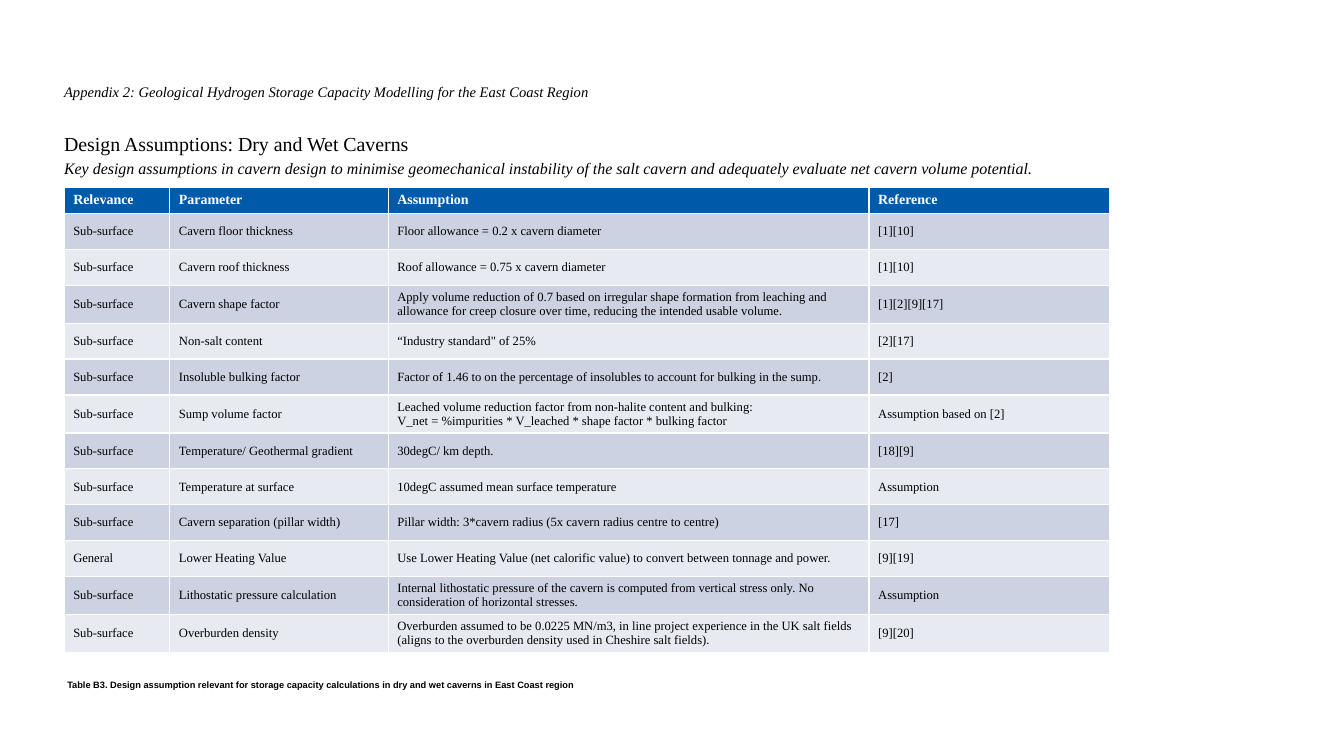
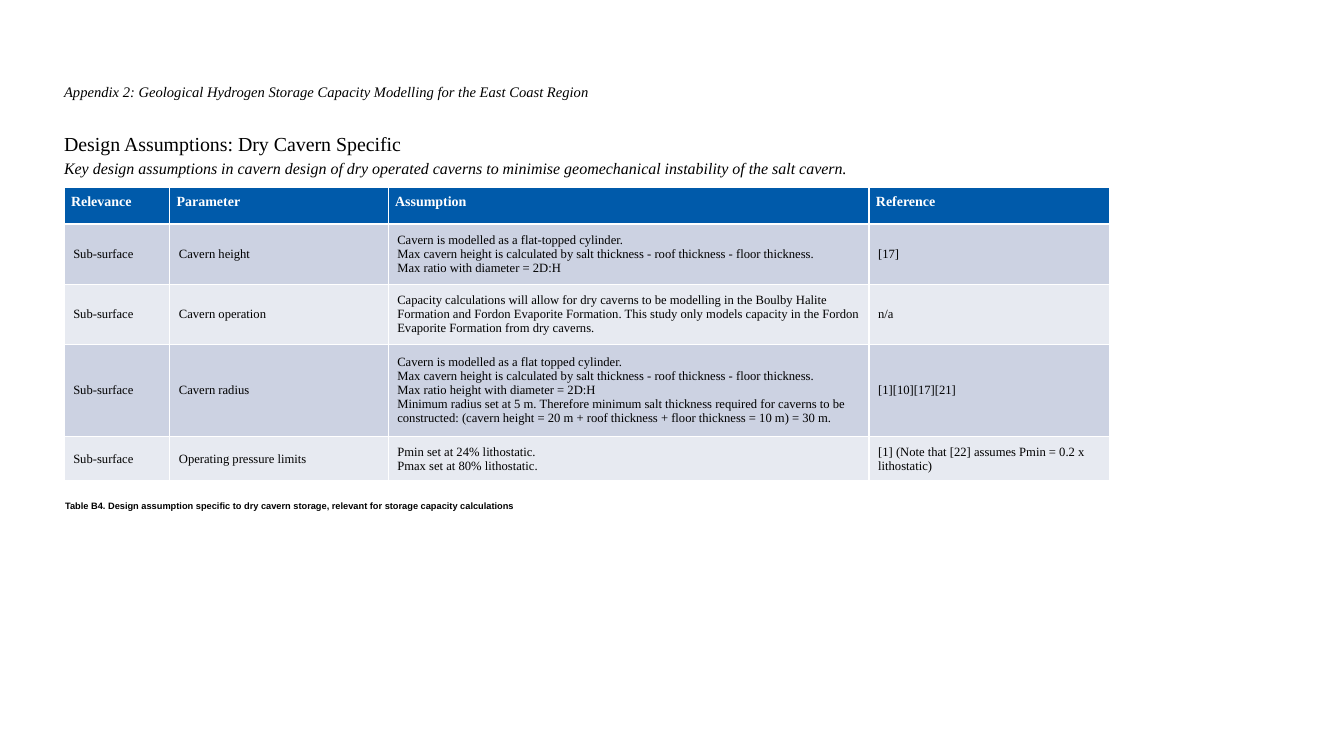
from pptx import Presentation
from pptx.dml.color import RGBColor
from pptx.enum.text import MSO_ANCHOR as Anchor, MSO_AUTO_SIZE as AutoSize, PP_ALIGN as Align
from pptx.util import Pt

# Shared style
SERIF, SANS = "Times New Roman", "Arial"
BLACK, WHITE, HEADER_BLUE = "000000", "FFFFFF", "005AAA"
BANDS = ("CCD2E2", "E7EAF1")
LEFT = 45.75
TABLE_TOP = 133.5
COLUMN_WIDTHS = (75.5, 156, 343.5, 172)
CELL_INSETS = (6.6, 3.4)
APPENDIX = "Appendix 2: Geological Hydrogen Storage Capacity Modelling for the East Coast Region"
HEADINGS = ("Relevance", "Parameter", "Assumption", "Reference")

# Table content; \v is a line break inside a paragraph
SHARED_ROWS = [
    ("Sub-surface", "Cavern floor thickness", "Floor allowance = 0.2 x cavern diameter", "[1][10]"),
    ("Sub-surface", "Cavern roof thickness", "Roof allowance = 0.75 x cavern diameter", "[1][10]"),
    ("Sub-surface", "Cavern shape factor",
     "Apply volume reduction of 0.7 based on irregular shape formation from leaching and "
     "allowance for creep closure over time, reducing the intended usable volume.",
     "[1][2][9][17]"),
    ("Sub-surface", "Non-salt content", "“Industry standard\" of 25%", "[2][17]"),
    ("Sub-surface", "Insoluble bulking factor",
     "Factor of 1.46 to on the percentage of insolubles to account for bulking in the sump.", "[2]"),
    ("Sub-surface", "Sump volume factor",
     "Leached volume reduction factor from non-halite content and bulking:\v"
     "V_net = %impurities * V_leached * shape factor * bulking factor",
     "Assumption based on [2]"),
    ("Sub-surface", "Temperature/ Geothermal gradient", "30degC/ km depth.", "[18][9]"),
    ("Sub-surface", "Temperature at surface", "10degC assumed mean surface temperature", "Assumption"),
    ("Sub-surface", "Cavern separation (pillar width)",
     "Pillar width: 3*cavern radius (5x cavern radius centre to centre)", "[17]"),
    ("General", "Lower Heating Value",
     "Use Lower Heating Value (net calorific value) to convert between tonnage and power.", "[9][19]"),
    ("Sub-surface", "Lithostatic pressure calculation",
     "Internal lithostatic pressure of the cavern is computed from vertical stress only. "
     "No consideration of horizontal stresses.",
     "Assumption"),
    ("Sub-surface", "Overburden density",
     "Overburden assumed to be 0.0225 MN/m3, in line project experience in the UK salt fields "
     "(aligns to the overburden density used in Cheshire salt fields).",
     "[9][20]"),
]
ONE_LINE, TWO_LINES = 25.6, 27.2
SHARED_HEIGHTS = [19] + [ONE_LINE] * 2 + [TWO_LINES] + [ONE_LINE] * 2 + [TWO_LINES] \
    + [ONE_LINE] * 4 + [TWO_LINES] * 2

HEIGHT_RULE = "Max cavern height is calculated by salt thickness - roof thickness - floor thickness.\v"
DRY_ROWS = [
    ("Sub-surface", "Cavern height",
     "Cavern is modelled as a flat-topped cylinder.\v" + HEIGHT_RULE + "Max ratio with diameter = 2D:H",
     "[17]"),
    ("Sub-surface", "Cavern operation",
     "Capacity calculations will allow for dry caverns to be modelling in the Boulby Halite "
     "Formation and Fordon Evaporite Formation. This study only models capacity in the Fordon "
     "Evaporite Formation from dry caverns.",
     "n/a"),
    ("Sub-surface", "Cavern radius",
     "Cavern is modelled as a flat topped cylinder.\v" + HEIGHT_RULE
     + "Max ratio height with diameter = 2D:H\v"
     "Minimum radius set at 5 m. Therefore minimum salt thickness required for caverns to be "
     "constructed: (cavern height = 20 m + roof thickness + floor thickness = 10 m) = 30 m.",
     "[1][10][17][21]"),
    ("Sub-surface", "Operating pressure limits",
     "Pmin set at 24% lithostatic.\vPmax set at 80% lithostatic.",
     "[1] (Note that [22] assumes Pmin = 0.2 x lithostatic)"),
]
DRY_HEIGHTS = [26.5, 43, 43, 66, 31.5]


def rgb(hex_colour):
    return RGBColor.from_string(hex_colour)


def set_insets(holder, across, down):
    holder.margin_left = holder.margin_right = Pt(across)
    holder.margin_top = holder.margin_bottom = Pt(down)


def write(frame, text, size, font=SERIF, colour=BLACK, bold=False, italic=False):
    frame.text = text
    paragraph = frame.paragraphs[0]
    paragraph.alignment = Align.LEFT
    face = paragraph.font
    face.name, face.size, face.bold, face.italic = font, Pt(size), bold, italic
    face.color.rgb = rgb(colour)
    return paragraph


def place(shape, left, top, width, height, anchor=Anchor.TOP):
    """Position a text shape and return its frame, wrapped and without insets."""
    shape.left, shape.top, shape.width, shape.height = map(Pt, (left, top, width, height))
    frame = shape.text_frame
    frame.word_wrap = True
    frame.auto_size = AutoSize.NONE
    frame.vertical_anchor = anchor
    set_insets(frame, 0, 0)
    return frame


def add_heading(slide, title, summary):
    title_frame = place(slide.shapes.title, LEFT, 73.5, 868, 37.5, Anchor.BOTTOM)
    write(title_frame, title, 14.2).line_spacing = Pt(44)

    summary_frame = place(slide.placeholders[1], LEFT, 113, 868, 38)
    summary_line = write(summary_frame, summary, 11.4, italic=True)
    summary_line.space_before = Pt(0)
    properties = summary_line._p.get_or_add_pPr()
    properties.set("marL", "0")
    properties.set("indent", "0")
    properties.insert_element_before(properties.makeelement(
        "{http://schemas.openxmlformats.org/drawingml/2006/main}buNone", {}), "a:tabLst", "a:defRPr")

    appendix_box = slide.shapes.add_textbox(0, 0, 0, 0)
    write(place(appendix_box, LEFT, 60.5, 398, 11.5, Anchor.BOTTOM), APPENDIX, 10.4, italic=True)


def add_assumption_table(slide, rows, heights, header_anchor, header_insets):
    table = slide.shapes.add_table(
        len(heights), len(HEADINGS), Pt(LEFT), Pt(TABLE_TOP),
        Pt(sum(COLUMN_WIDTHS)), Pt(sum(heights))).table
    for column, width in zip(table.columns, COLUMN_WIDTHS):
        column.width = Pt(width)
    for index, (values, height) in enumerate(zip([HEADINGS] + rows, heights)):
        table.rows[index].height = Pt(height)
        is_header = index == 0
        for cell, value in zip(table.rows[index].cells, values):
            cell.fill.solid()
            cell.fill.fore_color.rgb = rgb(HEADER_BLUE if is_header else BANDS[(index - 1) % 2])
            cell.vertical_anchor = header_anchor if is_header else Anchor.MIDDLE
            set_insets(cell, *(header_insets if is_header else CELL_INSETS))
            write(cell.text_frame, value, 10 if is_header else 9,
                  colour=WHITE if is_header else BLACK, bold=is_header)


def add_caption(slide, text, left, top):
    frame = place(slide.shapes.add_textbox(0, 0, 0, 0), left, top, 485, 26.5)
    set_insets(frame, 7.2, 3.6)
    write(frame, text, 6.6, font=SANS, bold=True)


def main():
    deck = Presentation()
    deck.slide_width, deck.slide_height = Pt(960), Pt(540)
    layout = deck.slide_layouts[1]

    # Dry and wet caverns
    shared = deck.slides.add_slide(layout)
    add_heading(shared, "Design Assumptions: Dry and Wet Caverns",
                "Key design assumptions in cavern design to minimise geomechanical instability of the "
                "salt cavern and adequately evaluate net cavern volume potential.")
    add_assumption_table(shared, SHARED_ROWS, SHARED_HEIGHTS, Anchor.MIDDLE, CELL_INSETS)
    add_caption(shared, "Table B3. Design assumption relevant for storage capacity calculations in "
                "dry and wet caverns in East Coast region", 41, 481.5)

    # Dry caverns only
    dry = deck.slides.add_slide(layout)
    add_heading(dry, "Design Assumptions: Dry Cavern Specific",
                "Key design assumptions in cavern design of dry operated caverns to minimise "
                "geomechanical instability of the salt cavern.")
    add_assumption_table(dry, DRY_ROWS, DRY_HEIGHTS, Anchor.TOP, (5, 5))
    add_caption(dry, "Table B4. Design assumption specific to dry cavern storage, relevant for "
                "storage capacity calculations", 39.5, 353.5)

    deck.save("out.pptx")


if __name__ == "__main__":
    main()
